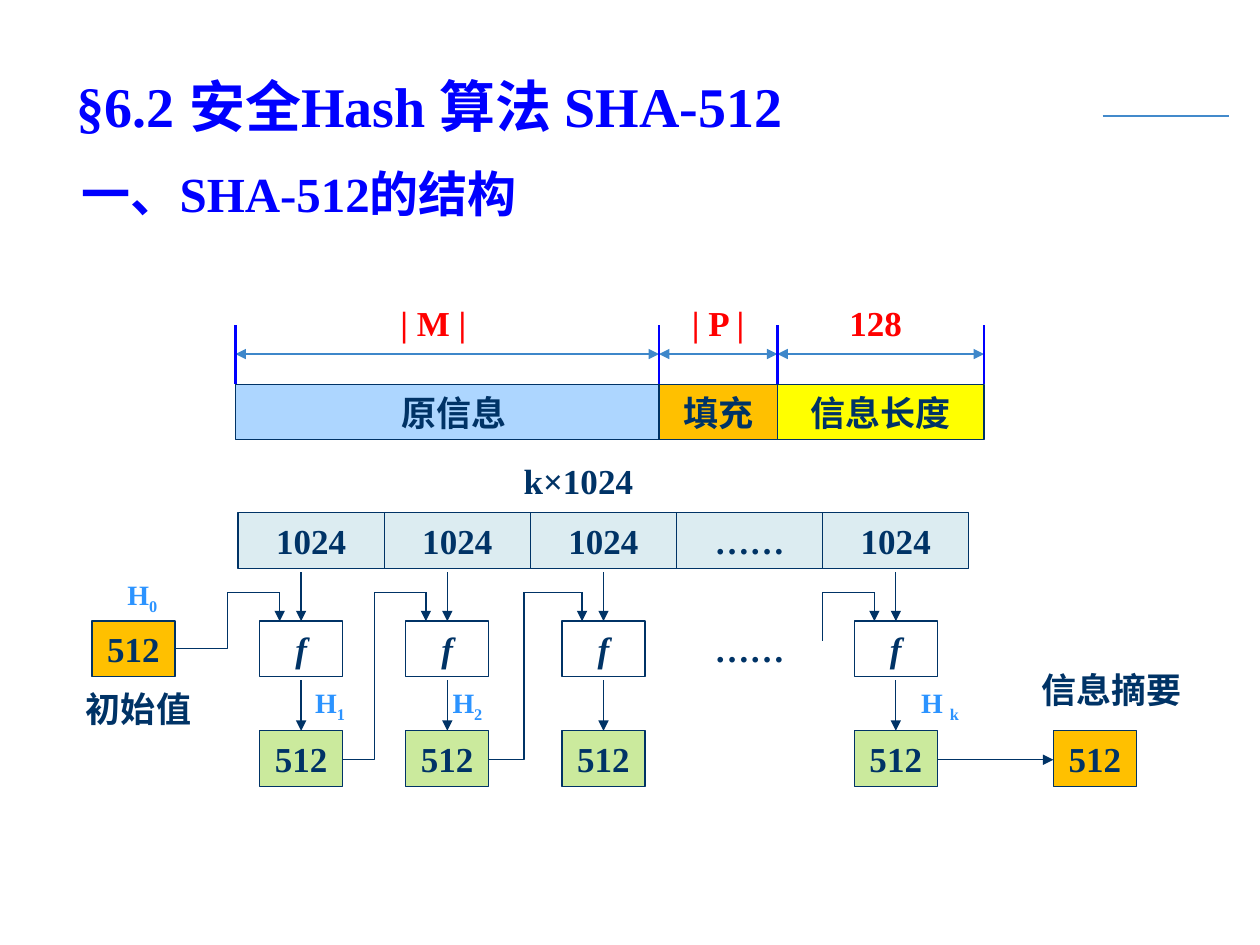
"""Build the slide on the structure of SHA-512."""
from typing import NamedTuple, Optional

from lxml.etree import SubElement
from pptx import Presentation
from pptx.dml.color import RGBColor
from pptx.enum.shapes import MSO_CONNECTOR, MSO_SHAPE
from pptx.enum.text import MSO_ANCHOR, PP_ALIGN
from pptx.oxml.ns import qn
from pptx.util import Inches, Pt

HUE = {
    "navy": "003366", "blue": "0000FF", "sky": "2B93FF", "red": "FF0000",
    "steel": "3E87CA", "rule": "438ACB", "pale": "DCECF1", "light": "ADD6FF",
    "gold": "FFC000", "lime": "CBEA9D", "yellow": "FFFF00",
}
FACE = {"name": "Times New Roman", "bold": True}
FRAME = {"word_wrap": True, "vertical_anchor": MSO_ANCHOR.MIDDLE}
HIGH = 0.44


class Box(NamedTuple):
    """A bordered cell with centred text."""
    text: str
    left: float
    top: float
    width: float = 0.66
    fill: Optional[str] = None
    italic: bool = False
    pad: float = 0.1


class Label(NamedTuple):
    """Free text, with an optional subscript."""
    text: str
    left: float
    top: float
    width: float
    height: float = HIGH
    hue: str = "navy"
    size: int = 20
    sub: str = ""
    align: PP_ALIGN = PP_ALIGN.CENTER


class Wire(NamedTuple):
    """A connector between two points."""
    start: tuple[float, float]
    end: tuple[float, float]
    hue: str = "navy"
    width: float = 0.75
    head: bool = False
    tail: bool = False
    bend: str = "line"


def shade(hue: str) -> RGBColor:
    """Return the named colour."""
    return RGBColor.from_string(HUE[hue])


def style(target, values: dict) -> None:
    """Set each named value on the target."""
    for key, value in values.items():
        setattr(target, key, value)


def write(frame, text: str, size: int, hue: str, align: PP_ALIGN,
          sub: str = "", italic: bool = False) -> None:
    """Fill a text frame with one paragraph."""
    style(frame, FRAME)
    para = frame.paragraphs[0]
    para.alignment = align
    for part in filter(None, (text, sub)):
        run = para.add_run()
        run.text = part
        style(run.font, FACE | {"size": Pt(size), "italic": italic})
        run.font.color.rgb = shade(hue)
    if sub:
        run.font._element.set("baseline", "-25000")


def draw_box(slide, box: Box) -> None:
    """Draw a bordered cell."""
    shape = slide.shapes.add_shape(
        MSO_SHAPE.RECTANGLE, *map(Inches, (box.left, box.top, box.width, HIGH)))
    shape.shadow.inherit = False
    if box.fill:
        shape.fill.solid()
        shape.fill.fore_color.rgb = shade(box.fill)
    else:
        shape.fill.background()
    shape.line.color.rgb = shade("navy")
    shape.line.width = Pt(0.75)
    shape.text_frame.margin_left = Inches(box.pad)
    write(shape.text_frame, box.text, 20, "navy", PP_ALIGN.CENTER, italic=box.italic)


def draw_label(slide, label: Label) -> None:
    """Draw free text."""
    area = map(Inches, (label.left, label.top, label.width, label.height))
    frame = slide.shapes.add_textbox(*area).text_frame
    write(frame, label.text, label.size, label.hue, label.align, label.sub)


def draw_wire(slide, wire: Wire) -> None:
    """Draw a straight or bent connector."""
    kind = MSO_CONNECTOR.STRAIGHT if wire.bend == "line" else MSO_CONNECTOR.ELBOW
    link = slide.shapes.add_connector(kind, *map(Inches, wire.start + wire.end))
    link.line.color.rgb = shade(wire.hue)
    link.line.width = Pt(wire.width)
    props = link.element.spPr
    props.find(qn("a:prstGeom")).set("prst", wire.bend)
    for tag, shown in (("a:headEnd", wire.head), ("a:tailEnd", wire.tail)):
        if shown:
            SubElement(props.find(qn("a:ln")), qn(tag), type="triangle")
    SubElement(props, qn("a:effectLst"))


def plan() -> tuple[list[Box], list[Label], list[Wire]]:
    """Lay out the cells, labels and wires."""
    boxes, labels, wires = [], [], []

    edges = (1.87, 5.23, 6.17, 7.81)
    fields = (("原信息", "light", "| M |", 2.66, 0.21),
              ("填充", "gold", "| P |", 4.92, 0.1),
              ("信息长度", "yellow", "128", 6.17, 0.1))
    for left, right, (name, fill, size, spot, pad) in zip(edges, edges[1:], fields):
        boxes.append(Box(name, left, 3.05, right - left, fill, pad=pad))
        labels.append(Label(size, spot, 2.34, 1.56, hue="red"))
        wires.append(Wire((left, 2.81), (right, 2.81), "steel", 1.5, True, True))
    wires += [Wire((x, 2.58), (x, 3.05), "blue", 1.5) for x in edges]

    for i, text in enumerate(("1024", "1024", "1024", "……", "1024")):
        boxes.append(Box(text, 1.89 + 1.16 * i, 4.07, 1.16, "pale"))

    for left in (2.06, 3.22, 4.46, 6.78):
        stem, hook = left + 0.33, left + 0.16
        boxes += [Box("f", left, 4.93, italic=True), Box("512", left, 5.8, fill="lime")]
        wires += [Wire((stem, 4.54), (stem, 4.93), tail=True),
                  Wire((stem, 5.4), (stem, 5.8), tail=True),
                  Wire((hook, 4.7), (hook, 4.93), tail=True)]

    for left, turn, hook in ((2.72, 2.97, 3.38), (3.88, 4.16, 4.62)):
        wires += [Wire((left, 6.03), (turn, 4.7), bend="bentConnector2"),
                  Wire((turn, 4.7), (hook, 4.7))]
    wires += [Wire((1.39, 5.15), (2.22, 4.7), bend="bentConnector3"),
              Wire((6.53, 4.7), (6.94, 4.7)),
              Wire((6.53, 4.7), (6.53, 5.09)),
              Wire((7.44, 6.03), (8.36, 6.03), tail=True),
              Wire((8.75, 0.92), (9.75, 0.92), "rule")]

    boxes += [Box("512", 0.73, 4.93, fill="gold"), Box("512", 8.36, 5.8, fill="gold")]
    labels += [Label("一、SHA-512的结构", 0.55, 1.25, 5.78, 0.57, "blue", 28,
                     align=PP_ALIGN.LEFT),
               Label("k×1024", 3.8, 3.59, 1.58),
               Label("初始值", 0.31, 5.4, 1.58),
               Label("……", 5.37, 4.93, 1.16),
               Label("信息摘要", 8.03, 5.25, 1.58)]
    for text, sub, left, top in (("H", "0", 0.78, 4.53), ("H", "1", 2.27, 5.39),
                                 ("H", "2", 3.36, 5.39), ("H ", "k", 7.11, 5.39)):
        labels.append(Label(text, left, top, 0.7, 0.41, "sky", 16, sub))
    return boxes, labels, wires


def main() -> None:
    """Build and save the deck."""
    deck = Presentation()
    style(deck, {"slide_width": Inches(10), "slide_height": Inches(7.5)})
    slide = deck.slides.add_slide(deck.slide_layouts[5])
    title = slide.shapes.title
    style(title, {"left": Inches(0.51), "top": Inches(0.21),
                  "width": Inches(9), "height": Inches(1.25)})
    write(title.text_frame, "§6.2 安全Hash 算法 SHA-512", 32, "blue", PP_ALIGN.LEFT)
    boxes, labels, wires = plan()
    for draw, items in ((draw_box, boxes), (draw_label, labels), (draw_wire, wires)):
        for item in items:
            draw(slide, item)
    deck.save("out.pptx")


if __name__ == "__main__":
    main()
